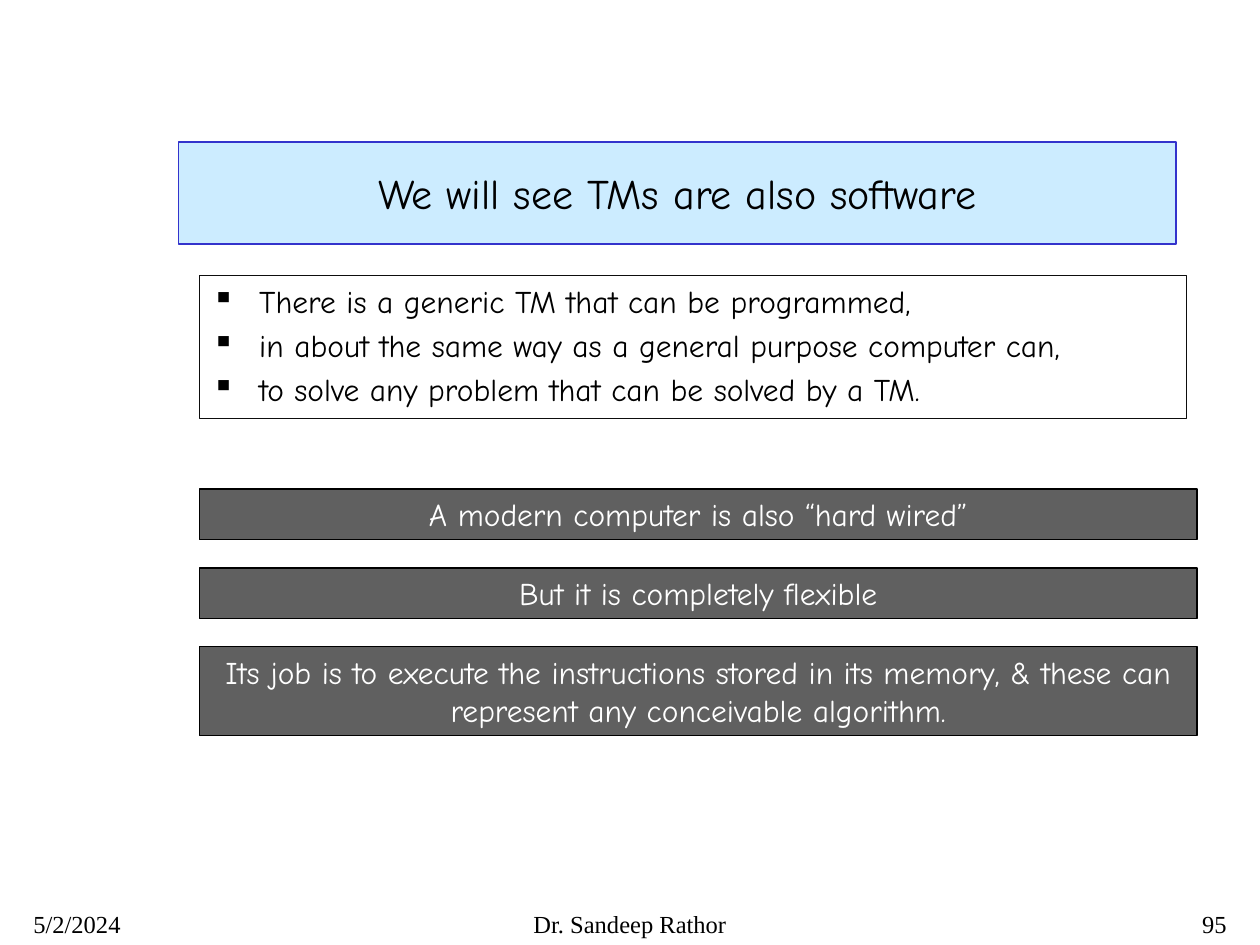
"""Build the slide that presents Turing machines as software."""
from lxml import etree
from pptx import Presentation
from pptx.dml.color import RGBColor
from pptx.enum.shapes import MSO_SHAPE
from pptx.enum.text import MSO_ANCHOR, MSO_AUTO_SIZE, PP_ALIGN
from pptx.oxml.ns import qn
from pptx.util import Pt

RECTANGLE = MSO_SHAPE.RECTANGLE
TOP, MIDDLE = MSO_ANCHOR.TOP, MSO_ANCHOR.MIDDLE
LEFT, CENTER, RIGHT = PP_ALIGN.LEFT, PP_ALIGN.CENTER, PP_ALIGN.RIGHT
NO_AUTOSIZE = MSO_AUTO_SIZE.NONE

TITLE = "We will see TMs are also software"
POINTS = [
    "There is a generic TM that can be programmed,",
    "in about the same way as a general purpose computer can,",
    "to solve any problem that can be solved by a TM.",
]
BARS = [
    ("A modern computer is also “hard wired”", 1),
    ("But it is completely flexible", 1),
    ("Its job is to execute the instructions stored in its memory, "
     "& these can represent any conceivable algorithm.", 2),
]
FOOTERS = [
    ("5/2/2024", 12, 150, LEFT),
    ("Dr. Sandeep Rathor", 246, 228, CENTER),
    ("95", 558, 150, RIGHT),
]

THEME = {
    "title": {"name": "Comic Neue", "size": 24, "color": "000000"},
    "body": {"name": "Comic Neue", "size": 18, "color": "000000"},
    "bar": {"name": "Comic Neue", "size": 18, "color": "FFFFFF"},
    "footer": {"name": "Times New Roman", "size": 14, "color": "000000"},
    "title_box": {"fill": "CCECFF", "line": "3333CC", "width": 1},
    "point_box": {"fill": None, "line": "0D0D0D", "width": 0.75},
    "bar_box": {"fill": "606060", "line": "000000", "width": 0.75},
}

SLIDE_SIZE = (720, 540)
TITLE_AREA = (102, 81, 570, 58.5)
POINT_AREA = (114, 157.5, 564, 81.5)
BAR_LEFT, BAR_TOP, BAR_WIDTH = 114, 279.5, 570
BAR_GAP, LINE_HEIGHT, BAR_PADDING = 16, 22, 7
FOOTER_TOP, FOOTER_HEIGHT = 516, 24
POINT_GAP, POINT_INDENT = 3.6, 27


def place(box, area):
    for name, value in zip(("left", "top", "width", "height"), area):
        setattr(box, name, Pt(value))


def paint(box, style):
    if style["fill"]:
        box.fill.solid()
        box.fill.fore_color.rgb = RGBColor.from_string(style["fill"])
    else:
        box.fill.background()
    box.line.color.rgb = RGBColor.from_string(style["line"])
    box.line.width = Pt(style["width"])


def add_bullet(para):
    properties = para._p.get_or_add_pPr()
    properties.set("marL", str(Pt(POINT_INDENT)))
    properties.set("indent", str(-Pt(POINT_INDENT)))
    etree.SubElement(properties, qn("a:buChar")).set("char", "▪")


def write(box, texts, style, align, anchor=TOP, bulleted=False):
    frame = box.text_frame
    settings = {
        "word_wrap": True, "auto_size": NO_AUTOSIZE, "vertical_anchor": anchor,
        "margin_left": Pt(7.2), "margin_right": Pt(7.2),
        "margin_top": Pt(3.6), "margin_bottom": Pt(3.6),
    }
    for name, value in settings.items():
        setattr(frame, name, value)
    for index, text in enumerate(texts):
        para = frame.add_paragraph() if index else frame.paragraphs[0]
        para.alignment = align
        para.space_before = Pt(POINT_GAP if index else 0)
        if bulleted:
            add_bullet(para)
        span = para.add_run()
        span.text = text
        span.font.name = style["name"]
        span.font.size = Pt(style["size"])
        span.font.color.rgb = RGBColor.from_string(style["color"])


def add_title(page):
    box = page.shapes.title
    place(box, TITLE_AREA)
    outline = etree.SubElement(box._element.spPr, qn("a:prstGeom"))
    outline.set("prst", "roundRect")
    etree.SubElement(outline, qn("a:avLst"))
    paint(box, THEME["title_box"])
    write(box, [TITLE], THEME["title"], CENTER, MIDDLE)


def add_panel(page, area, style):
    box = page.shapes.add_shape(RECTANGLE, *map(Pt, area))
    box.shadow.inherit = False
    paint(box, style)
    return box


def add_bars(page):
    top = BAR_TOP
    for text, lines in BARS:
        height = BAR_PADDING + lines * LINE_HEIGHT
        box = add_panel(page, (BAR_LEFT, top, BAR_WIDTH, height), THEME["bar_box"])
        write(box, [text], THEME["bar"], CENTER)
        top += height + BAR_GAP


def add_footers(page):
    for text, left, width, align in FOOTERS:
        area = (left, FOOTER_TOP, width, FOOTER_HEIGHT)
        box = page.shapes.add_textbox(*map(Pt, area))
        write(box, [text], THEME["footer"], align)


def main():
    deck = Presentation()
    deck.slide_width, deck.slide_height = map(Pt, SLIDE_SIZE)
    page = deck.slides.add_slide(deck.slide_layouts[5])
    add_title(page)
    panel = add_panel(page, POINT_AREA, THEME["point_box"])
    write(panel, POINTS, THEME["body"], LEFT, bulleted=True)
    add_bars(page)
    add_footers(page)
    deck.save("out.pptx")


if __name__ == "__main__":
    main()
